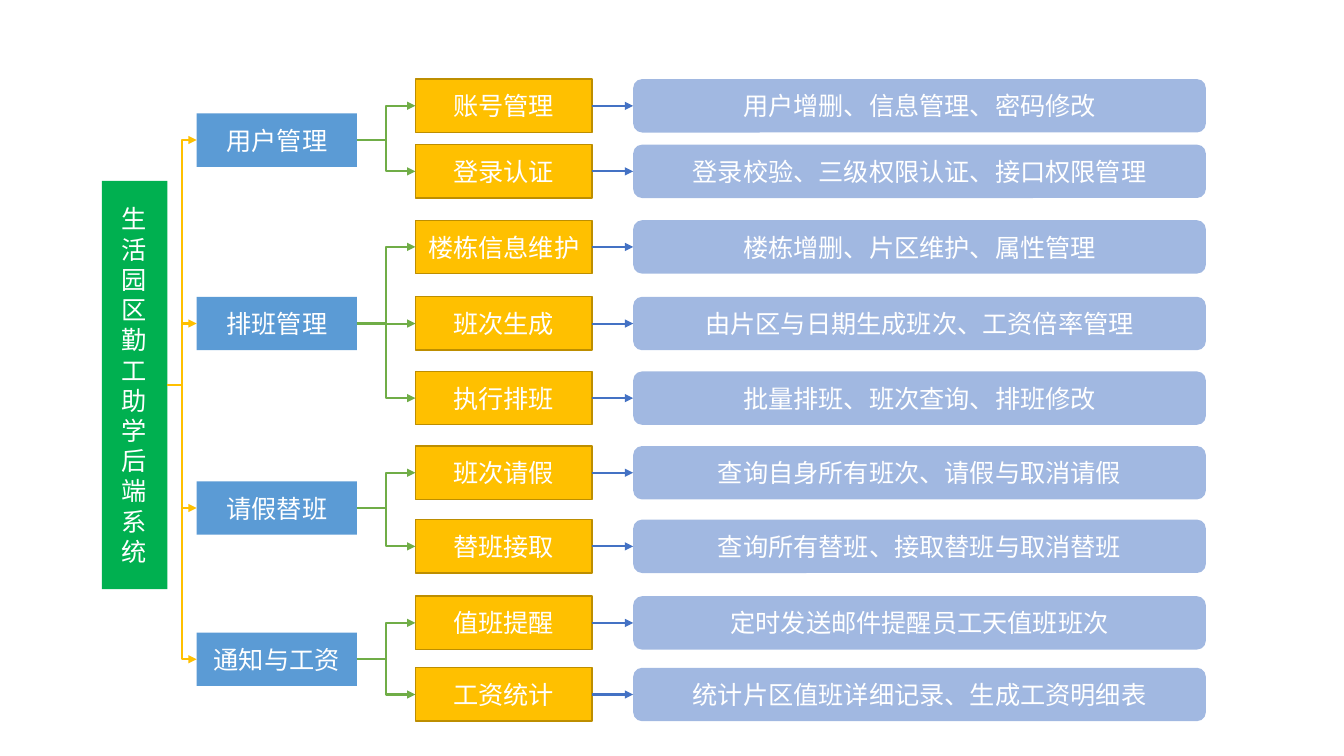
"""Build the module tree of a campus work-study backend system."""
from lxml import etree
from pptx import Presentation, util as u
from pptx.dml.color import RGBColor
from pptx.enum import shapes, text
from pptx.oxml.ns import qn

WHITE = RGBColor(0xFF, 0xFF, 0xFF)
ROOT_GREEN = RGBColor(0x00, 0xB0, 0x50)
MODULE_BLUE = RGBColor(0x5B, 0x9B, 0xD5)
FEATURE_GOLD = RGBColor(0xFF, 0xC0, 0x00)
GOLD_EDGE = RGBColor(0xBD, 0x8E, 0x00)
LINE_GREEN = RGBColor(0x70, 0xAD, 0x47)
DETAIL_BLUE = RGBColor(0x44, 0x72, 0xC4)
FONT = "Noto Sans CJK SC"
RECT = shapes.MSO_SHAPE.RECTANGLE
ROUND = shapes.MSO_SHAPE.ROUNDED_RECTANGLE

ROOT_COL, MODULE_COL, FEATURE_COL, DETAIL_COL = (1.01, 0.65), (1.95, 1.59), (4.12, 1.75), (6.28, 5.68)
ROOT_MID, ROOT_H, BOX_H = 3.82, 4.05, 0.53
LEFT_SITE, RIGHT_SITE = 1, 3

TREE = [
    ("用户管理", 1.39, [
        ("账号管理", 1.05, "用户增删、信息管理、密码修改"),
        ("登录认证", 1.7, "登录校验、三级权限认证、接口权限管理")]),
    ("排班管理", 3.21, [
        ("楼栋信息维护", 2.45, "楼栋增删、片区维护、属性管理"),
        ("班次生成", 3.21, "由片区与日期生成班次、工资倍率管理"),
        ("执行排班", 3.95, "批量排班、班次查询、排班修改")]),
    ("请假替班", 5.04, [
        ("班次请假", 4.69, "查询自身所有班次、请假与取消请假"),
        ("替班接取", 5.42, "查询所有替班、接取替班与取消替班")]),
    ("通知与工资", 6.54, [
        ("值班提醒", 6.18, "定时发送邮件提醒员工天值班班次"),
        ("工资统计", 6.89, "统计片区值班详细记录、生成工资明细表")]),
]

prs = Presentation()
prs.slide_width, prs.slide_height = u.Inches(13.33), u.Inches(7.5)
s = prs.slides.add_slide(prs.slide_layouts[6])


def add_box(label, col, mid, color, height=BOX_H, kind=RECT):
    left, width = col
    sp = s.shapes.add_shape(kind, u.Inches(left), u.Inches(mid - height / 2),
                            u.Inches(width), u.Inches(height))
    sp.shadow.inherit = False
    sp.fill.solid()
    sp.fill.fore_color.rgb = color
    sp.line.fill.background()
    tf = sp.text_frame
    tf.word_wrap = True
    tf.vertical_anchor = text.MSO_ANCHOR.MIDDLE
    p = tf.paragraphs[0]
    p.alignment = text.PP_ALIGN.CENTER
    r = p.add_run()
    r.text = label
    r.font.size = u.Pt(18)
    r.font.name = FONT
    r.font.color.rgb = WHITE
    etree.SubElement(r.font._element, qn("a:ea"), typeface=FONT)
    return sp


def add_arrow(start, end, color):
    cx = s.shapes.add_connector(shapes.MSO_CONNECTOR.ELBOW, 0, 0, 0, 0)
    cx.begin_connect(start, RIGHT_SITE)
    cx.end_connect(end, LEFT_SITE)
    cx.line.color.rgb = color
    cx.line.width = u.Pt(1.5)
    etree.SubElement(cx.line._get_or_add_ln(), qn("a:tailEnd"), type="triangle")
    etree.SubElement(cx._element.spPr, qn("a:effectLst"))


root = add_box("生活园区勤工助学后端系统", ROOT_COL, ROOT_MID, ROOT_GREEN, ROOT_H)
root.text_frame.paragraphs[0].line_spacing = u.Pt(21.6)

for module_name, module_mid, features in TREE:
    module = add_box(module_name, MODULE_COL, module_mid, MODULE_BLUE)
    add_arrow(root, module, FEATURE_GOLD)
    for feature_name, mid, detail_text in features:
        feature = add_box(feature_name, FEATURE_COL, mid, FEATURE_GOLD)
        feature.line.color.rgb = GOLD_EDGE
        feature.line.width = u.Pt(1)
        add_arrow(module, feature, LINE_GREEN)
        detail = add_box(detail_text, DETAIL_COL, mid, DETAIL_BLUE, kind=ROUND)
        tint = detail.fill._xPr.find(qn("a:solidFill"))[0]
        etree.SubElement(tint, qn("a:alpha"), val="50000")
        add_arrow(feature, detail, DETAIL_BLUE)

prs.save("out.pptx")
